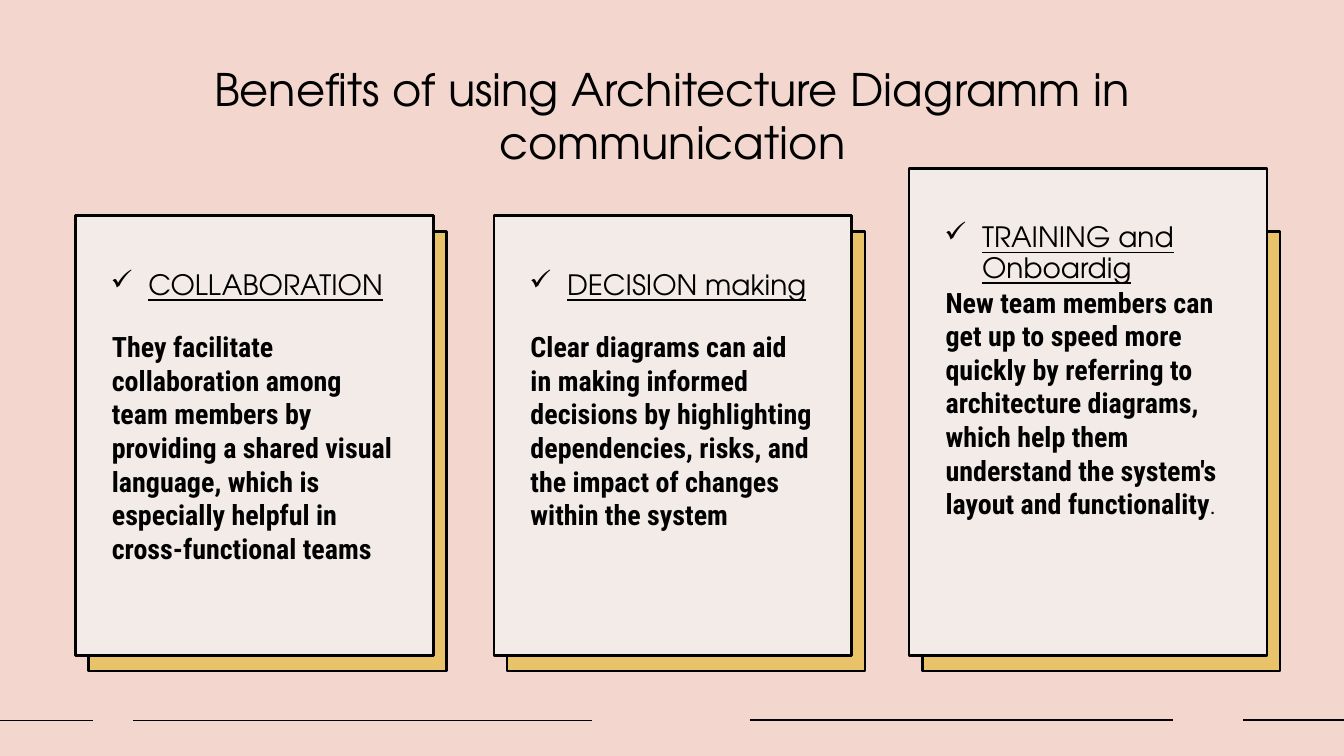
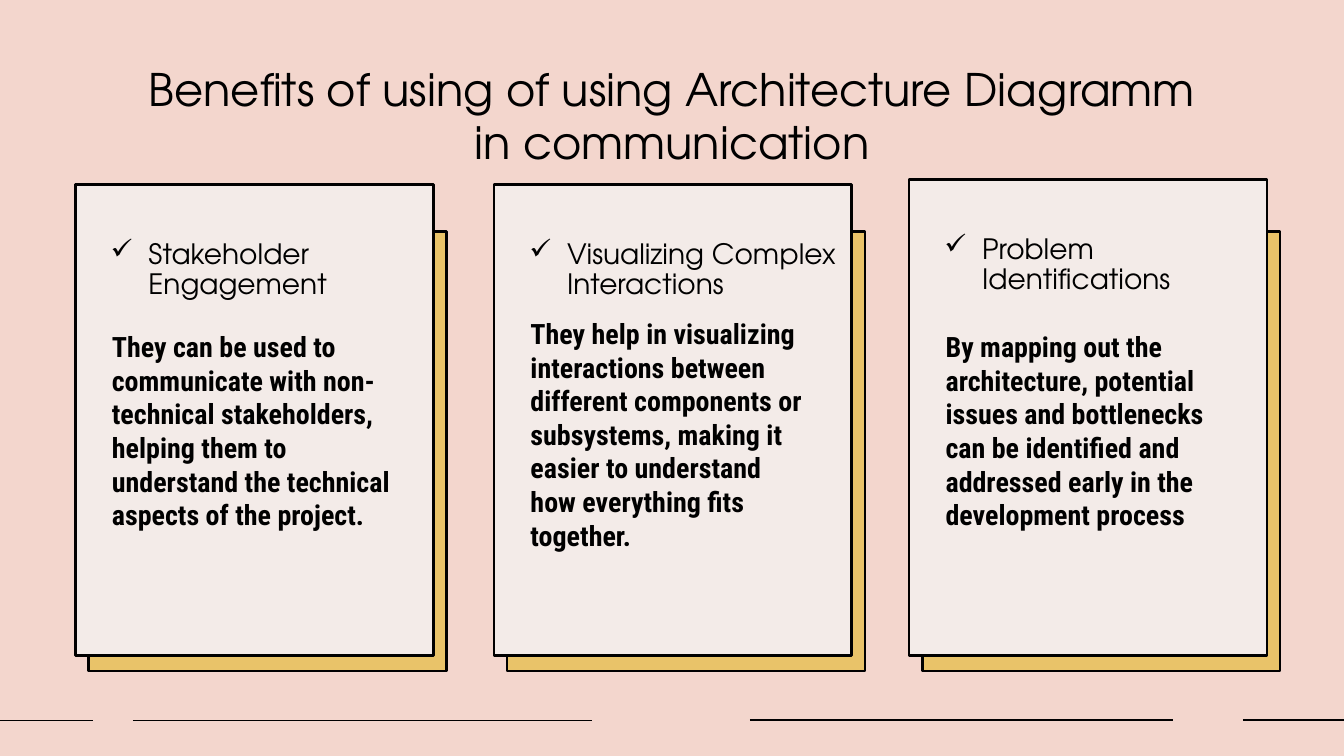
from lxml import etree
from pptx import Presentation
from pptx.dml.color import RGBColor
from pptx.enum.shapes import MSO_CONNECTOR, MSO_SHAPE
from pptx.enum.text import MSO_ANCHOR, PP_ALIGN
from pptx.oxml.ns import qn
from pptx.util import Cm, Pt

RECT = MSO_SHAPE.RECTANGLE
STRAIGHT = MSO_CONNECTOR.STRAIGHT
LEFT, CENTER = PP_ALIGN.LEFT, PP_ALIGN.CENTER
TOP = MSO_ANCHOR.TOP

COLORS = {"bg": "F3D6CD", "shadow": "E9C369", "card": "F3EBE8", "ink": "000000"}
HEAD_FONT, BODY_FONT = "TeX Gyre Adventor", "Roboto Condensed"

# Lengths in cm
SLIDE_W, SLIDE_H = 33.87, 19.05
TITLE_BOX = (3.18, 1.42, 27.53, 2.82)
CARD_XS = (1.9, 12.45, 22.91)
CARD_W, CARD_BOTTOM = 9.02, 16.51
SHADOW_DX, SHADOW_TOP, SHADOW_H = 0.33, 5.84, 11.07
BODY_DX, BODY_W, BODY_BOTTOM = 0.67, 7.62, 15.93
FOOTER_LINES = ((0, 2.34, 18.16), (3.35, 14.91, 18.16),
                (18.9, 29.57, 18.14), (31.32, SLIDE_W, 18.14))

# Each card: top, body top, heading, body runs as (text, size, bold)
SLIDES = [
    ("Benefits of using Architecture Diagramm in communication", True, [
        (5.44, 8.18, "COLLABORATION",
         [("They facilitate collaboration among team members by providing a shared "
           "visual language, which is especially helpful in cross-functional teams",
           20, True)]),
        (5.44, 8.18, "DECISION making",
         [("Clear diagrams can aid in making informed decisions by highlighting "
           "dependencies, risks, and the impact of changes within the system",
           20, True)]),
        (4.24, 7.06, "TRAINING and Onboardig",
         [("New team members can get up to speed more quickly by referring to "
           "architecture diagrams, which help them understand the system's layout "
           "and functionality", 20, True), (".", 16, False)]),
    ]),
    ("Benefits of using of using Architecture Diagramm in communication", False, [
        (4.65, 8.18, "Stakeholder Engagement",
         [("They can be used to communicate with non-technical stakeholders, helping "
           "them to understand the technical aspects of the project.", 20, True)]),
        (4.65, 7.85, "Visualizing Complex Interactions",
         [("They help in visualizing interactions between different components or "
           "subsystems, making it easier to understand how everything fits together.",
           20, True)]),
        (4.52, 8.18, "Problem Identifications",
         [("By mapping out the architecture, potential issues and bottlenecks can be "
           "identified and addressed early in the development process", 20, True)]),
    ]),
]


def rgb(name):
    return RGBColor.from_string(COLORS[name])


def add_run(p, text, font, size, bold=False, underline=False):
    r = p.add_run()
    r.text = text
    r.font.name, r.font.size = font, Pt(size)
    r.font.bold, r.font.underline = bold, underline
    r.font.color.rgb = rgb("ink")


def add_text(s, box, align=LEFT):
    tf = s.shapes.add_textbox(*map(Cm, box)).text_frame
    tf.word_wrap = True
    tf.vertical_anchor = TOP
    p = tf.paragraphs[0]
    p.alignment = align
    return p


def add_panel(s, box, fill):
    sp = s.shapes.add_shape(RECT, *map(Cm, box))
    sp.shadow.inherit = False
    sp.fill.solid()
    sp.fill.fore_color.rgb = rgb(fill)
    sp.line.color.rgb = rgb("ink")
    sp.line.width = Pt(2)
    return sp


def add_check_bullet(p):
    pPr = p._p.get_or_add_pPr()
    pPr.set("marL", str(Cm(0.95)))
    pPr.set("indent", str(-Cm(0.95)))
    etree.SubElement(pPr, qn("a:buChar")).set("char", "✓")


def add_backdrop(s):
    """Background, footer lines and card shadows shared by all slides."""
    s.background.fill.solid()
    s.background.fill.fore_color.rgb = rgb("bg")
    for x1, x2, y in FOOTER_LINES:
        line = s.shapes.add_connector(STRAIGHT, Cm(x1), Cm(y), Cm(x2), Cm(y))
        line.line.color.rgb = rgb("ink")
        line.line.width = Pt(1)
        etree.SubElement(line._element.spPr, qn("a:effectLst"))
    for x in CARD_XS:
        add_panel(s, (x + SHADOW_DX, SHADOW_TOP, CARD_W, SHADOW_H), "shadow")


def add_card(s, x, top, body_top, heading, body, underline):
    # Panel with its checked heading
    tf = add_panel(s, (x, top, CARD_W, CARD_BOTTOM - top), "card").text_frame
    tf.word_wrap = True
    tf.vertical_anchor = TOP
    tf.margin_left, tf.margin_top = Cm(0.89), Cm(1.4)
    tf.margin_right, tf.margin_bottom = Cm(0.25), Cm(0.13)
    p = tf.paragraphs[0]
    p.alignment = LEFT
    p.line_spacing, p.space_before = 0.9, Pt(10)
    add_check_bullet(p)
    add_run(p, heading, HEAD_FONT, 20, underline=underline)

    # Body text
    p = add_text(s, (x + BODY_DX, body_top, BODY_W, BODY_BOTTOM - body_top))
    for text, size, bold in body:
        add_run(p, text, BODY_FONT, size, bold)


def add_benefits_slide(prs, title, underline, cards):
    s = prs.slides.add_slide(prs.slide_layouts[6])
    add_backdrop(s)
    add_run(add_text(s, TITLE_BOX, CENTER), title, HEAD_FONT, 32)
    for x, card in zip(CARD_XS, cards):
        add_card(s, x, *card, underline)


def main():
    prs = Presentation()
    prs.slide_width, prs.slide_height = Cm(SLIDE_W), Cm(SLIDE_H)
    for title, underline, cards in SLIDES:
        add_benefits_slide(prs, title, underline, cards)
    prs.save("out.pptx")


if __name__ == "__main__":
    main()
